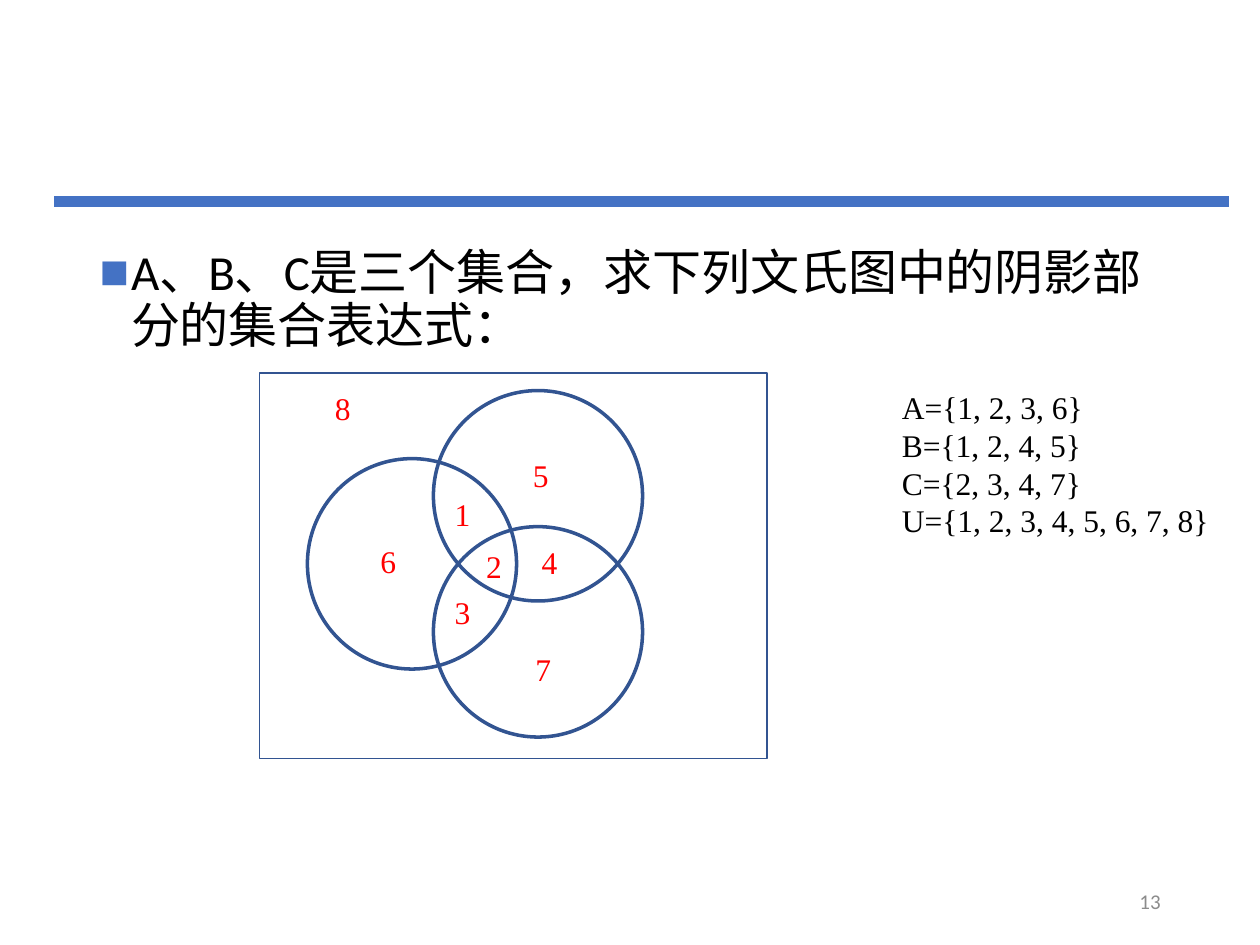
from lxml.etree import SubElement
from pptx import Presentation
from pptx.dml.color import RGBColor
from pptx.enum.shapes import MSO_CONNECTOR, MSO_SHAPE
from pptx.enum.text import MSO_ANCHOR, MSO_AUTO_SIZE, PP_ALIGN
from pptx.oxml.ns import qn
from pptx.util import Inches, Pt

BLUE = RGBColor(0x44, 0x72, 0xC4)
OUTLINE = RGBColor(0x32, 0x54, 0x91)
RED = RGBColor(0xFF, 0x00, 0x00)
BLACK = RGBColor(0x00, 0x00, 0x00)
GRAY = RGBColor(0x8C, 0x8C, 0x8C)


class SlideBuilder:
    """Holds the text style and the current page."""

    body_font = "Calibri"
    diagram_font = "Times New Roman"

    def __init__(self, page):
        self.page = page

    def add_span(self, para, text, font, size, color):
        span = para.add_run()
        span.text = text
        span.font.name = font
        span.font.size = Pt(size)
        span.font.color.rgb = color

    def rule(self, left, right, top, width):
        line = self.page.shapes.add_connector(
            MSO_CONNECTOR.STRAIGHT, Inches(left), Inches(top), Inches(right), Inches(top))
        line.line.color.rgb = BLUE
        line.line.width = Pt(width)
        SubElement(line._element.spPr, qn("a:effectLst"))

    def bullet_body(self, text, left, top, width, height):
        body = self.page.placeholders[1]
        body.left, body.top = Inches(left), Inches(top)
        body.width, body.height = Inches(width), Inches(height)
        body.text_frame.auto_size = MSO_AUTO_SIZE.NONE
        para = body.text_frame.paragraphs[0]
        properties = para._p.get_or_add_pPr()
        properties.set("marL", str(Inches(0.25)))
        properties.set("indent", str(-Inches(0.25)))
        bullet_color = SubElement(properties, qn("a:buClr"))
        SubElement(bullet_color, qn("a:srgbClr"), val=str(BLUE))
        SubElement(properties, qn("a:buChar"), char="■")
        para.line_spacing = 0.9
        para.space_before = Pt(0)
        self.add_span(para, text, self.body_font, 28, BLACK)

    def outline(self, kind, left, top, width, height, line_width):
        shape = self.page.shapes.add_shape(
            kind, Inches(left), Inches(top), Inches(width), Inches(height))
        shape.shadow.inherit = False
        shape.fill.background()
        shape.line.color.rgb = OUTLINE
        shape.line.width = Pt(line_width)

    def text(self, lines, left, top, width, height, font=diagram_font, size=18,
             color=BLACK, align=PP_ALIGN.LEFT, anchor=MSO_ANCHOR.TOP):
        box = self.page.shapes.add_textbox(
            Inches(left), Inches(top), Inches(width), Inches(height))
        frame = box.text_frame
        frame.word_wrap = True
        frame.vertical_anchor = anchor
        for index, line in enumerate(lines):
            para = frame.add_paragraph() if index else frame.paragraphs[0]
            para.alignment = align
            self.add_span(para, line, font, size, color)


def main():
    deck = Presentation()
    deck.slide_width, deck.slide_height = Inches(10), Inches(7.5)
    page = deck.slides.add_slide(deck.slide_layouts[1])
    title = page.shapes.title._element
    title.getparent().remove(title)
    builder = SlideBuilder(page)

    # Header rule, question and page number
    builder.rule(0.43, 9.75, 1.6, 6)
    builder.bullet_body("A、B、C是三个集合，求下列文氏图中的阴影部分的集合表达式：",
                        0.69, 1.92, 8.62, 5.18)
    builder.text(["13"], 7.06, 6.95, 2.25, 0.4, font=builder.body_font, size=12,
                 color=GRAY, align=PP_ALIGN.RIGHT, anchor=MSO_ANCHOR.MIDDLE)

    # Venn diagram: sets A, B, C inside the universe
    for left, top in [(2.44, 3.64), (3.44, 3.1), (3.44, 4.18)]:
        builder.outline(MSO_SHAPE.OVAL, left, top, 1.66, 1.67, 2)
    builder.outline(MSO_SHAPE.RECTANGLE, 2.06, 2.96, 4.03, 3.06, 1)

    # Region numbers 1 to 8
    regions = [(3.51, 3.88), (3.76, 4.29), (3.51, 4.66), (4.2, 4.26),
               (4.13, 3.57), (2.92, 4.25), (4.15, 5.11), (2.56, 3.04)]
    for number, (left, top) in enumerate(regions, start=1):
        builder.text([str(number)], left, top, 0.39, 0.4, color=RED)

    # Set definitions
    builder.text(["A={1, 2, 3, 6}", "B={1, 2, 4, 5}", "C={2, 3, 4, 7}",
                  "U={1, 2, 3, 4, 5, 6, 7, 8}"], 7.06, 3.03, 2.86, 1.62)

    deck.save("out.pptx")


if __name__ == "__main__":
    main()
